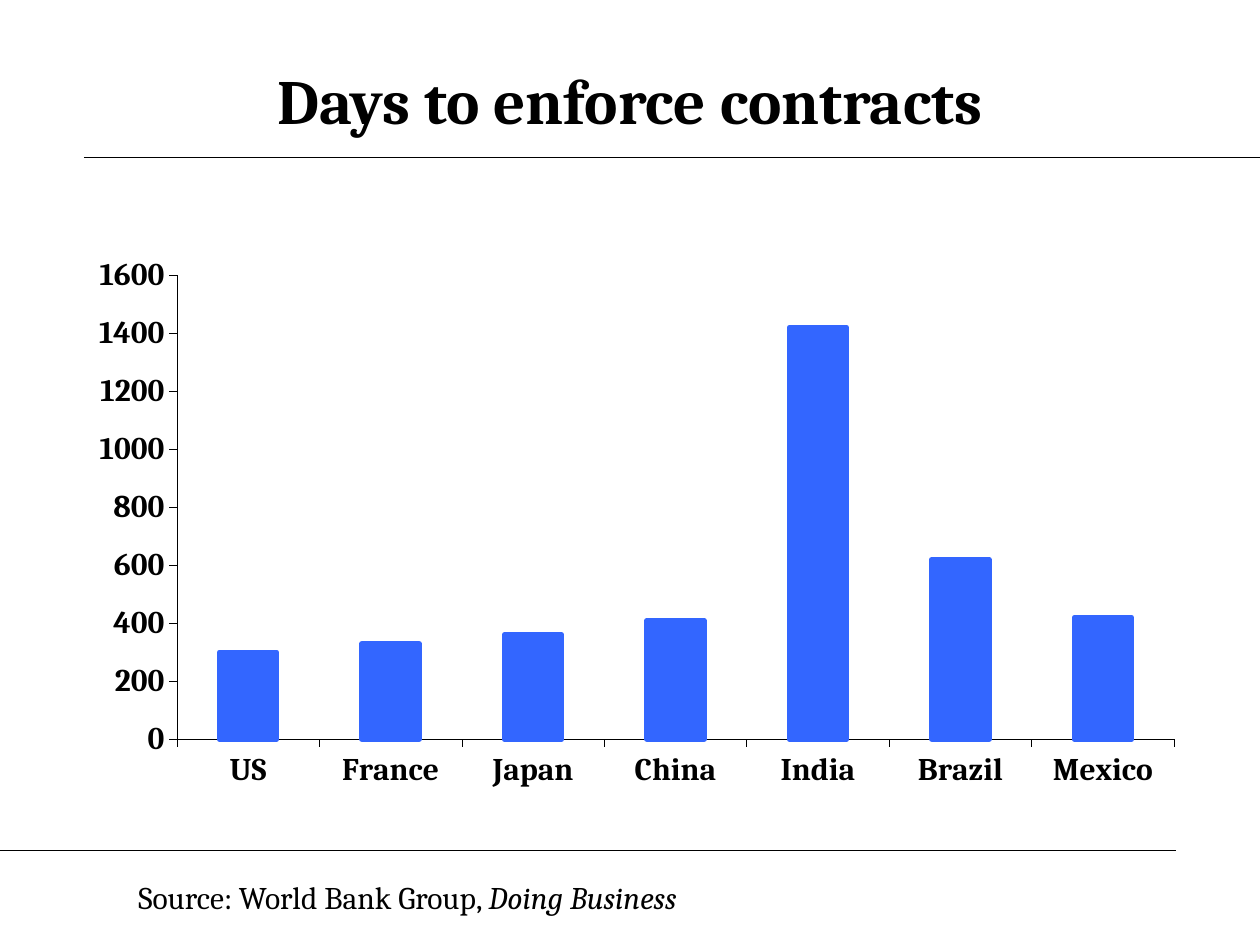
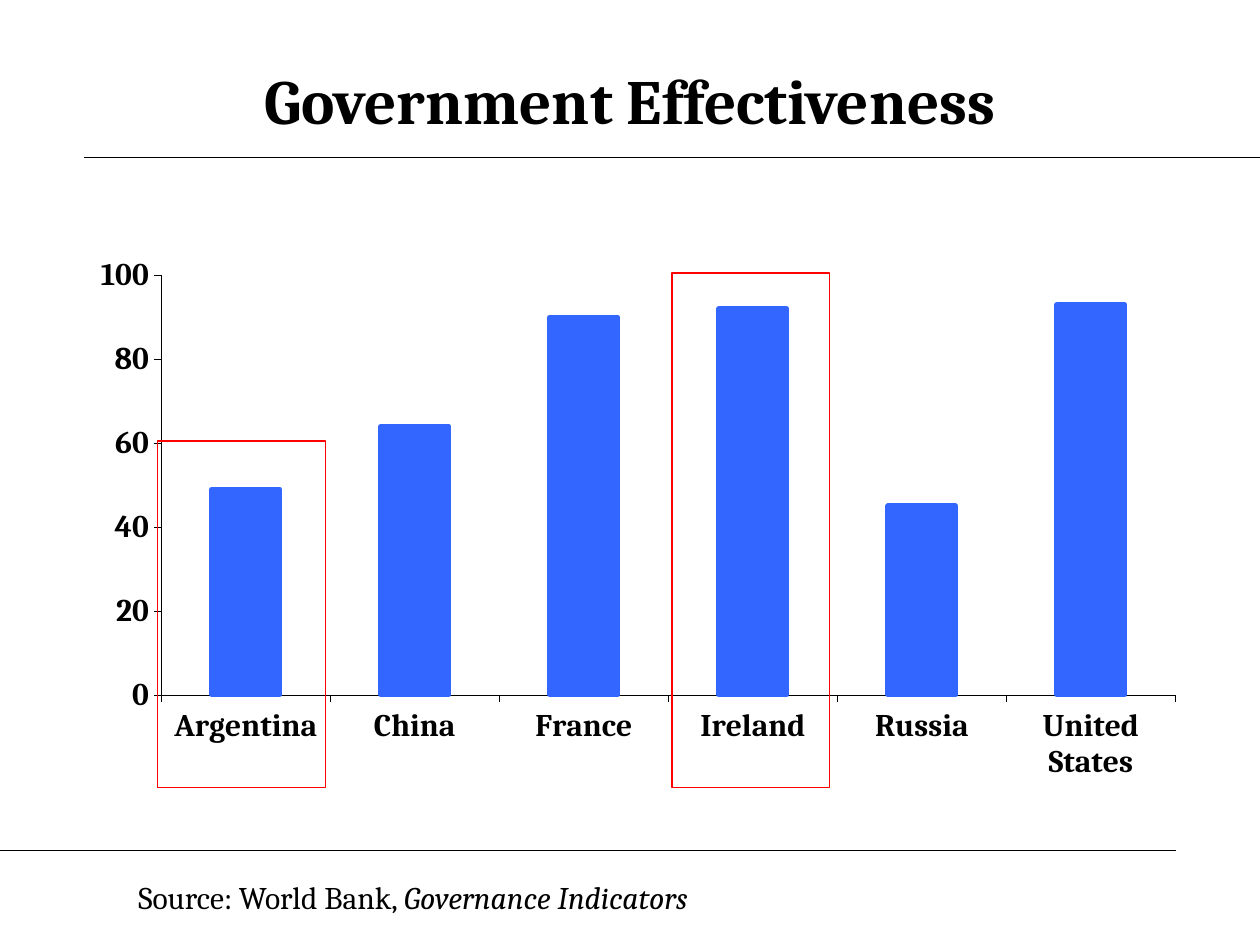
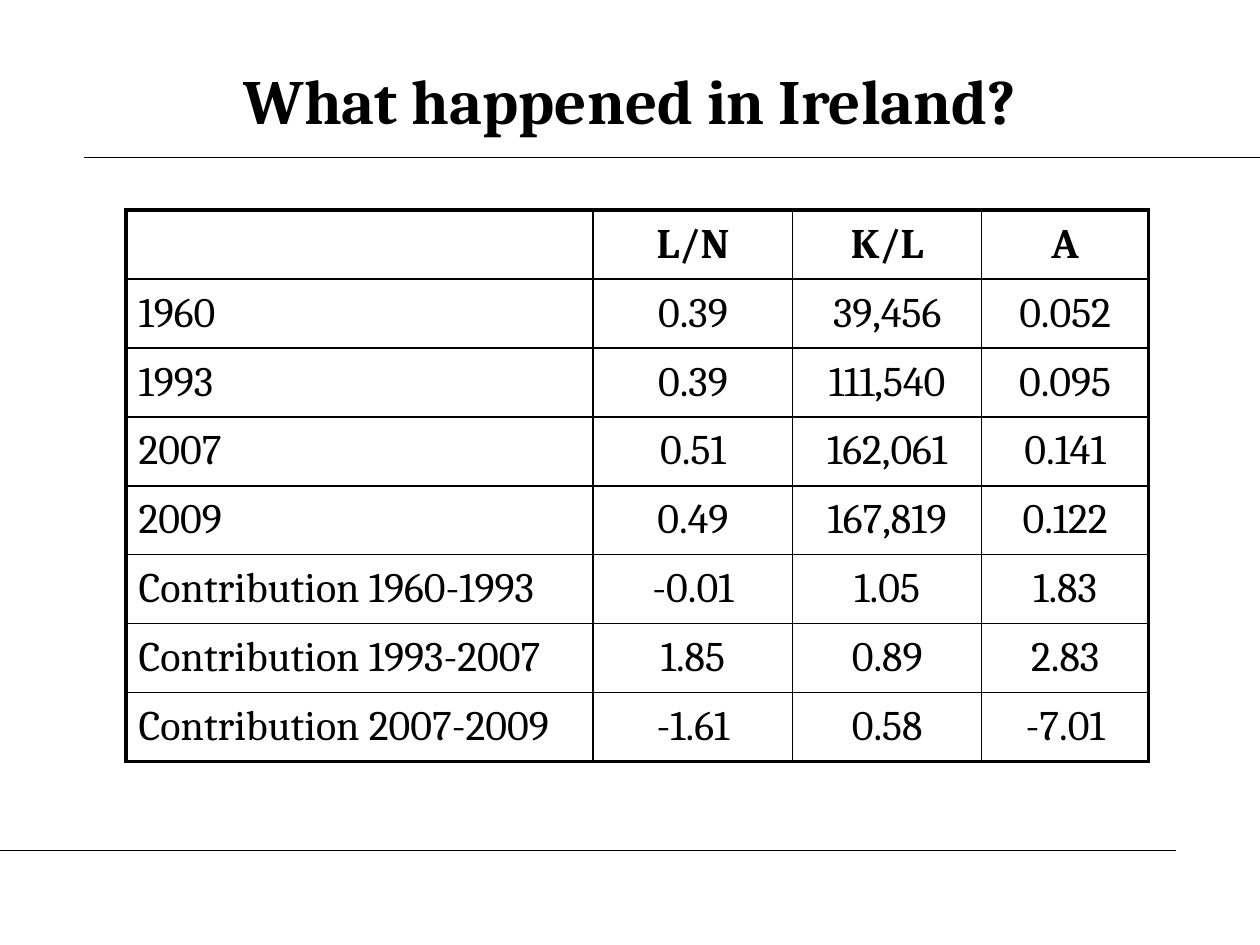
from lxml.etree import SubElement
from pptx import Presentation
from pptx.chart.data import CategoryChartData
from pptx.dml.color import RGBColor
from pptx.enum.chart import XL_CHART_TYPE, XL_TICK_MARK
from pptx.enum.shapes import MSO_CONNECTOR, MSO_SHAPE
from pptx.enum.text import MSO_ANCHOR, PP_ALIGN
from pptx.oxml import parse_xml
from pptx.oxml.ns import nsdecls, qn
from pptx.util import Inches, Pt

# Shared style: a grid of 120 columns by 90 rows
COLUMNS, ROWS = 120, 90
BLACK, WHITE, BLUE, RED = "000000", "FFFFFF", "3366FF", "FF0000"
FONT, CHART_FONT = "Cambria", "Arial"
TITLE_FORMAT = {"name": FONT, "size": Pt(36), "bold": True}
SOURCE_FORMAT = {"name": FONT, "size": Pt(18)}
AXIS_FORMAT = {"name": FONT, "size": Pt(18), "bold": True}
CHART_FORMAT = {**AXIS_FORMAT, "name": CHART_FONT}
CELL_FORMAT = {"name": FONT, "size": Pt(24), "bold": False}
HEADER_FORMAT = {**CELL_FORMAT, "bold": True}
TITLE_AREA = (6, 4, 108, 11)
CHART_AREA = (6.75, 21.75, 106.25, 58)
SOURCE_AREA = (12, 83, 77, 4.8)
TOP_RULE, BOTTOM_RULE = 15, 81
THIN, THICK = 1, 2.25


def color(hex_string):
    return RGBColor.from_string(hex_string)


def format_font(font, values):
    for name, value in values.items():
        setattr(font, name, value)
    font.color.rgb = color(BLACK)


def format_line(line, hex_string, points):
    line.color.rgb = color(hex_string)
    line.width = Pt(points)


class Deck:
    def __init__(self):
        self.presentation = Presentation()
        self.presentation.slide_width = Inches(10)
        self.presentation.slide_height = Inches(7.5)
        self.layout = self.presentation.slide_layouts[5]
        self.slide = None

    def across(self, columns):
        return round(self.presentation.slide_width * columns / COLUMNS)

    def down(self, rows):
        return round(self.presentation.slide_height * rows / ROWS)

    def area(self, left, top, width, height):
        return self.across(left), self.down(top), self.across(width), self.down(height)

    def add_slide(self, title):
        first = self.slide is None
        self.slide = self.presentation.slides.add_slide(self.layout)
        if first:
            self.add_shared_rules()
        shape = self.slide.shapes.title
        shape.left, shape.top, shape.width, shape.height = self.area(*TITLE_AREA)
        shape.text_frame.vertical_anchor = MSO_ANCHOR.MIDDLE
        paragraph = shape.text_frame.paragraphs[0]
        paragraph.text = title
        paragraph.alignment = PP_ALIGN.CENTER
        format_font(paragraph.runs[0].font, TITLE_FORMAT)

    def add_shared_rules(self):
        """Move the two rules to the layout, so that every slide shows them."""
        fill = self.layout.background.fill
        fill.solid()
        fill.fore_color.rgb = color(WHITE)
        for rule in (self.add_rule(8, COLUMNS, TOP_RULE), self.add_rule(0, 112, BOTTOM_RULE)):
            self.layout.element.cSld.spTree.append(rule.element)

    def add_rule(self, start, end, row):
        rule = self.slide.shapes.add_connector(
            MSO_CONNECTOR.STRAIGHT,
            self.across(start), self.down(row), self.across(end), self.down(row))
        format_line(rule.line, BLACK, 0.75)
        SubElement(rule.element.spPr, qn("a:effectLst"))
        return rule

    def add_source(self, publisher, work):
        frame = self.slide.shapes.add_textbox(*self.area(*SOURCE_AREA)).text_frame
        frame.word_wrap = True
        for text, italic in ((f"Source: {publisher}, ", False), (work, True)):
            run = frame.paragraphs[0].add_run()
            run.text = text
            format_font(run.font, {**SOURCE_FORMAT, "italic": italic})

    def add_highlight(self, *position):
        shape = self.slide.shapes.add_shape(MSO_SHAPE.RECTANGLE, *self.area(*position))
        shape.shadow.inherit = False
        shape.fill.background()
        format_line(shape.line, RED, 0.75)

    def add_column_chart(self, values, maximum, step, plot_area):
        data = CategoryChartData()
        data.categories = list(values)
        data.add_series("Series 1", list(values.values()))
        chart = self.slide.shapes.add_chart(
            XL_CHART_TYPE.COLUMN_CLUSTERED, *self.area(*CHART_AREA), data).chart
        chart.has_legend = chart.has_title = False
        format_font(chart.font, CHART_FORMAT)

        # Columns
        plot = chart.plots[0]
        plot.gap_width = 150
        plot.vary_by_categories = False
        series = plot.series[0]
        series.format.fill.solid()
        series.format.fill.fore_color.rgb = color(BLUE)
        format_line(series.format.line, BLUE, 3)

        # Axes
        for axis in (chart.category_axis, chart.value_axis):
            axis.has_major_gridlines = False
            axis.major_tick_mark = XL_TICK_MARK.OUTSIDE
            format_line(axis.format.line, BLACK, 0.25)
            format_font(axis.tick_labels.font, AXIS_FORMAT)
        scale = {"minimum_scale": 0, "maximum_scale": maximum, "major_unit": step}
        for name, value in scale.items():
            setattr(chart.value_axis, name, value)
        self.place_plot(chart, plot_area)

    @staticmethod
    def place_plot(chart, plot_area):
        settings = [("layoutTarget", "inner"), ("xMode", "edge"), ("yMode", "edge")]
        settings += zip("xywh", plot_area)
        children = "".join(f'<c:{name} val="{value}"/>' for name, value in settings)
        plot_element = chart.element.chart.plotArea
        for old_layout in plot_element.findall(qn("c:layout")):
            plot_element.remove(old_layout)
        plot_element.insert(0, parse_xml(
            f'<c:layout {nsdecls("c")}><c:manualLayout>{children}</c:manualLayout></c:layout>'))

    def add_table(self, left, top, widths, row_height, rows):
        table = self.slide.shapes.add_table(
            len(rows), len(widths),
            *self.area(left, top, sum(widths), row_height * len(rows))).table
        table.first_row = table.horz_banding = False
        for column, width in zip(table.columns, widths):
            column.width = self.across(width)
        last_row, last_column = len(rows) - 1, len(widths) - 1
        for row, texts in enumerate(rows):
            table.rows[row].height = self.down(row_height)
            for column, text in enumerate(texts):
                cell = table.cell(row, column)
                outer_sides = {"L": column == 0, "R": column == last_column,
                               "T": row == 0, "B": row == last_row}
                self.add_borders(cell, outer_sides)
                cell.fill.background()
                cell.vertical_anchor = MSO_ANCHOR.MIDDLE
                paragraph = cell.text_frame.paragraphs[0]
                paragraph.text = text
                paragraph.alignment = PP_ALIGN.CENTER if column else PP_ALIGN.LEFT
                format_font(paragraph.font, CELL_FORMAT if row else HEADER_FORMAT)

    @staticmethod
    def add_borders(cell, outer_sides):
        properties = cell._tc.get_or_add_tcPr()
        for side, outer in outer_sides.items():
            width = Pt(THICK if outer else THIN)
            border = SubElement(properties, qn(f"a:ln{side}"), w=str(width))
            fill = SubElement(border, qn("a:solidFill"))
            SubElement(fill, qn("a:srgbClr"), val=BLACK)


def main():
    deck = Deck()

    # Contract enforcement
    deck.add_slide("Days to enforce contracts")
    days = {"US": 300, "France": 330, "Japan": 360, "China": 410,
            "India": 1420, "Brazil": 620, "Mexico": 420}
    deck.add_column_chart(days, 1600, 200, (0.095, 0.077, 0.894, 0.762))
    deck.add_source("World Bank Group", "Doing Business")

    # Government effectiveness, with two countries framed
    deck.add_slide("Government Effectiveness")
    scores = {"Argentina": 49, "China": 64, "France": 90,
              "Ireland": 92, "Russia": 45, "United States": 93}
    deck.add_column_chart(scores, 100, 20, (0.081, 0.077, 0.909, 0.689))
    deck.add_highlight(15, 42, 16, 33)
    deck.add_highlight(64, 26, 15, 49)
    deck.add_source("World Bank", "Governance Indicators")

    # Growth accounting for Ireland
    deck.add_slide("What happened in Ireland?")
    deck.add_rule(15, COLUMNS, TOP_RULE)
    deck.add_rule(0, 85, BOTTOM_RULE)
    deck.add_table(12, 20, (44.5, 19, 18, 15.9), 6.57, [
        ("", "L/N", "K/L", "A"),
        ("1960", "0.39", "39,456", "0.052"),
        ("1993", "0.39", "111,540", "0.095"),
        ("2007", "0.51", "162,061", "0.141"),
        ("2009", "0.49", "167,819", "0.122"),
        ("Contribution 1960-1993", "-0.01", "1.05", "1.83"),
        ("Contribution 1993-2007", "1.85", "0.89", "2.83"),
        ("Contribution 2007-2009", "-1.61", "0.58", "-7.01"),
    ])

    deck.presentation.save("out.pptx")


if __name__ == "__main__":
    main()
